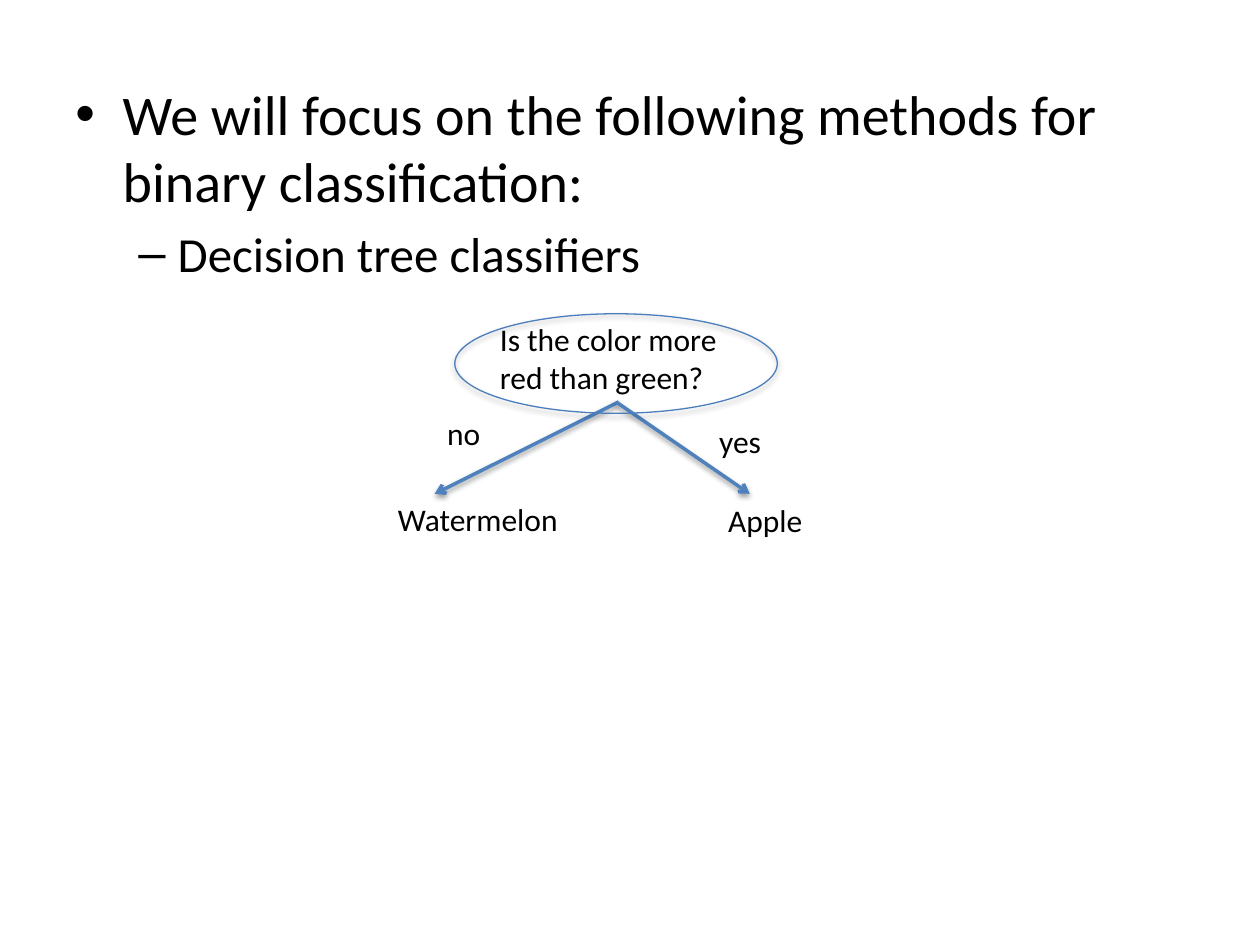
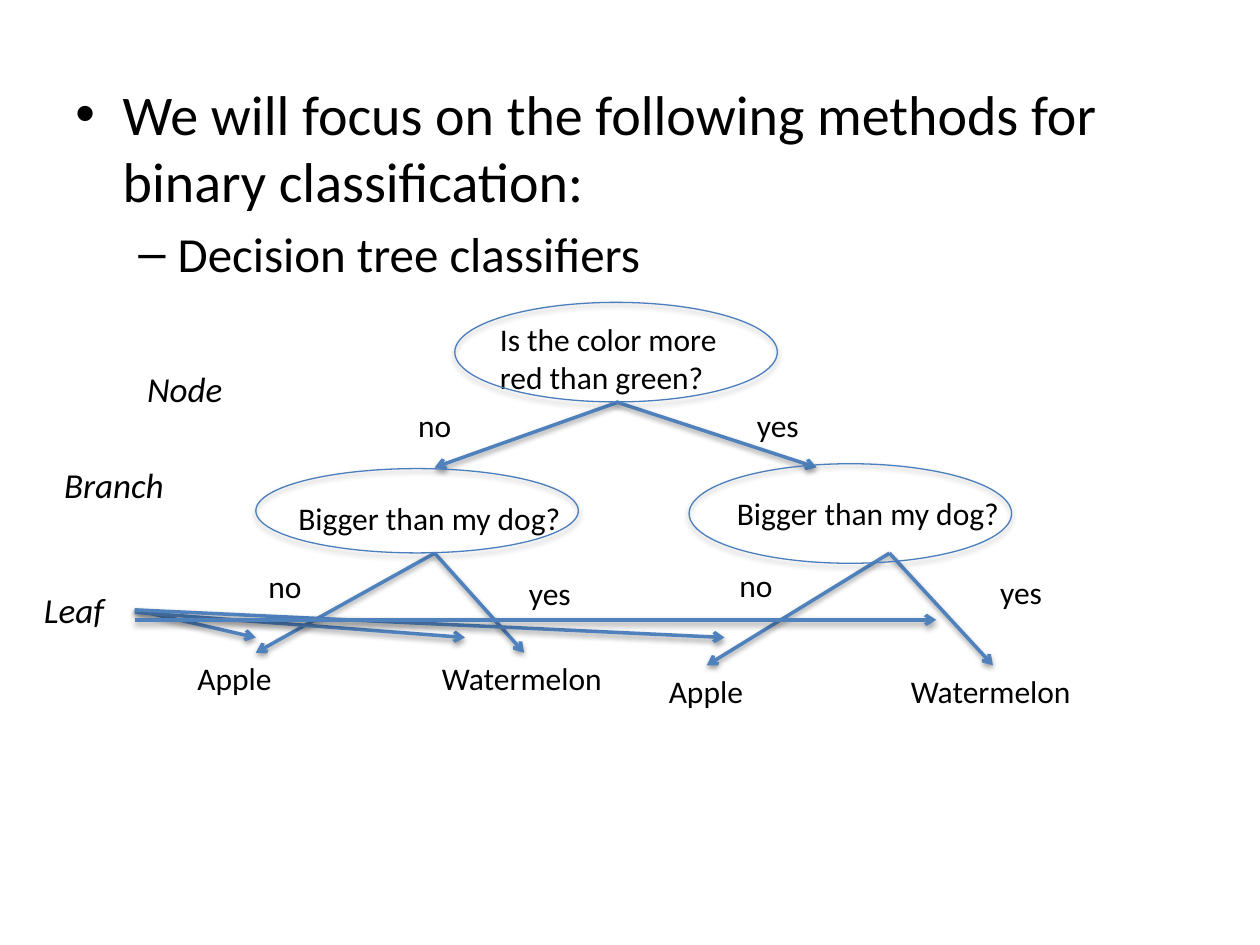
from lxml import etree
from pptx import Presentation
from pptx.dml.color import RGBColor
from pptx.enum import shapes, text
from pptx.oxml import ns
from pptx.util import Pt

COLORS = {"text": "000000", "arrow": "4F81BD", "outline": "4B7EBC", "shadow": "000000"}
FONT = "Calibri"

# Shared content: words, size, bullet, left margin, hanging indent, space before
OUTLINE = [
    ("We will focus on the following methods for binary classification:", 32, "•", 27, 27, 0),
    ("Decision tree classifiers", 28, "–", 58.5, 22.5, 5.6),
]
ROOT_QUESTION = ("Is the color more red than green?", 278.6, 179.3, 150, 51)
SIZE_QUESTION = "Bigger than my dog?"
LABEL_WIDTHS = {"no": 34, "yes": 39, "Apple": 58, "Watermelon": 108}
LABEL_HEIGHT = 29
NODE_WIDTH = 184.3

# Each tree: questions (text, box), labels (text, left, top),
# part names, arrows (start, end), nodes (left, top, height)
TREES = [
    {
        "questions": [ROOT_QUESTION],
        "labels": [("yes", 403.9, 237.6), ("no", 248.4, 233.3),
                   ("Apple", 409, 283), ("Watermelon", 220.3, 282.2)],
        "parts": [],
        "branches": [((353.5, 229.7), (248.4, 282.2)), ((352.1, 229.7), (428.4, 282.2))],
        "nodes": [(259.9, 179.3, 56.9)],
        "pointers": [],
    },
    {
        "questions": [ROOT_QUESTION,
                      (SIZE_QUESTION, 163.4, 281.5, 170.6, LABEL_HEIGHT),
                      (SIZE_QUESTION, 414, 278.6, 170.6, LABEL_HEIGHT)],
        "labels": [("yes", 425.5, 228.2), ("no", 231.8, 228.2),
                   ("no", 146.2, 320.4), ("yes", 295.2, 324.7),
                   ("Apple", 105.8, 373), ("Watermelon", 245.5, 373),
                   ("no", 415.4, 319.7), ("yes", 564.5, 324),
                   ("Apple", 375.1, 380.2), ("Watermelon", 513.4, 380.2)],
        "parts": [("Node", 77, 206.6), ("Branch", 29.5, 261.4), ("Leaf", 18, 332.6)],
        "branches": [((353.5, 229.7), (248.4, 267.1)), ((352.1, 229.7), (466.6, 267.1)),
                     ((248.4, 316.1), (146.2, 373)), ((248.4, 316.1), (299.5, 373)),
                     ((508.3, 316.1), (403.9, 380.2)), ((508.3, 316.1), (567.4, 380.2))],
        "nodes": [(259.9, 172.8, 56.9), (146.2, 267.8, 48.2), (393.8, 265, 56.9)],
        "pointers": [((77, 348.5), (146.2, 364.3)), ((77, 349.9), (265.7, 364.3)),
                     ((77, 348.5), (414, 364.3)), ((77, 354.2), (535, 354.2))],
    },
]


def color(name):
    return RGBColor.from_string(COLORS[name])


def child(parent, tag, **attributes):
    return etree.SubElement(parent, ns.qn(tag), attributes)


def add_shadow(shape, distance, opacity):
    shape_properties = shape._element.spPr
    for old in shape_properties.findall(ns.qn("a:effectLst")):
        shape_properties.remove(old)
    effects = child(shape_properties, "a:effectLst")
    shadow = child(effects, "a:outerShdw", blurRad=str(Pt(3.15)), dist=str(Pt(distance)),
                   dir="5400000", rotWithShape="0")
    tint = child(shadow, "a:srgbClr", val=COLORS["shadow"])
    child(tint, "a:alpha", val=str(opacity * 1000))


def add_box(page, left, top, width, height, wrap=True):
    box = page.shapes.add_textbox(Pt(left), Pt(top), Pt(width), Pt(height))
    box.text_frame.word_wrap = wrap
    box.text_frame.auto_size = text.MSO_AUTO_SIZE.NONE
    return box


def write(para, words, size=18, italic=False, bullet=None, margin=0, hanging=0, before=0):
    span = para.add_run()
    span.text = words
    span.font.name, span.font.size, span.font.italic = FONT, Pt(size), italic
    span.font.color.rgb = color("text")
    if bullet:
        para.space_before = Pt(before)
        properties = para._p.get_or_add_pPr()
        properties.set("marL", str(Pt(margin)))
        properties.set("indent", str(-Pt(hanging)))
        child(properties, "a:buFont", typeface="Arial")
        child(properties, "a:buChar", char=bullet)


def add_label(page, words, *place, wrap=True, **style):
    box = add_box(page, *place, wrap=wrap)
    write(box.text_frame.paragraphs[0], words, **style)


def add_arrow(page, start, end):
    arrow = page.shapes.add_connector(shapes.MSO_CONNECTOR.STRAIGHT, *map(Pt, start + end))
    arrow.line.color.rgb = color("arrow")
    arrow.line.width = Pt(2)
    child(arrow.line._get_or_add_ln(), "a:tailEnd", type="arrow")
    add_shadow(arrow, 1.57, 38)


def add_node(page, left, top, height):
    node = page.shapes.add_shape(shapes.MSO_SHAPE.OVAL, Pt(left), Pt(top),
                                 Pt(NODE_WIDTH), Pt(height))
    node.fill.background()
    node.line.color.rgb = color("outline")
    node.line.width = Pt(0.75)
    add_shadow(node, 1.81, 35)


def add_outline(page):
    frame = add_box(page, 36, 41.8, 648, 163.4).text_frame
    for index, (words, size, bullet, margin, hanging, before) in enumerate(OUTLINE):
        para = frame.add_paragraph() if index else frame.paragraphs[0]
        write(para, words, size=size, bullet=bullet, margin=margin,
              hanging=hanging, before=before)


def add_tree(page, tree):
    for question in tree["questions"]:
        add_label(page, *question)
    for start, end in tree["branches"]:
        add_arrow(page, start, end)
    for words, left, top in tree["labels"]:
        add_label(page, words, left, top, LABEL_WIDTHS[words], LABEL_HEIGHT, wrap=False)
    for node in tree["nodes"]:
        add_node(page, *node)
    # Names of the tree's parts, and pointers to the leaves
    for words, left, top in tree["parts"]:
        add_label(page, words, left, top, 94.3, 31.7, size=20, italic=True)
    for start, end in tree["pointers"]:
        add_arrow(page, start, end)


def main():
    deck = Presentation()
    deck.slide_width, deck.slide_height = Pt(720), Pt(540)
    for tree in TREES:
        page = deck.slides.add_slide(deck.slide_layouts[6])
        add_outline(page)
        add_tree(page, tree)
    deck.save("out.pptx")


if __name__ == "__main__":
    main()
